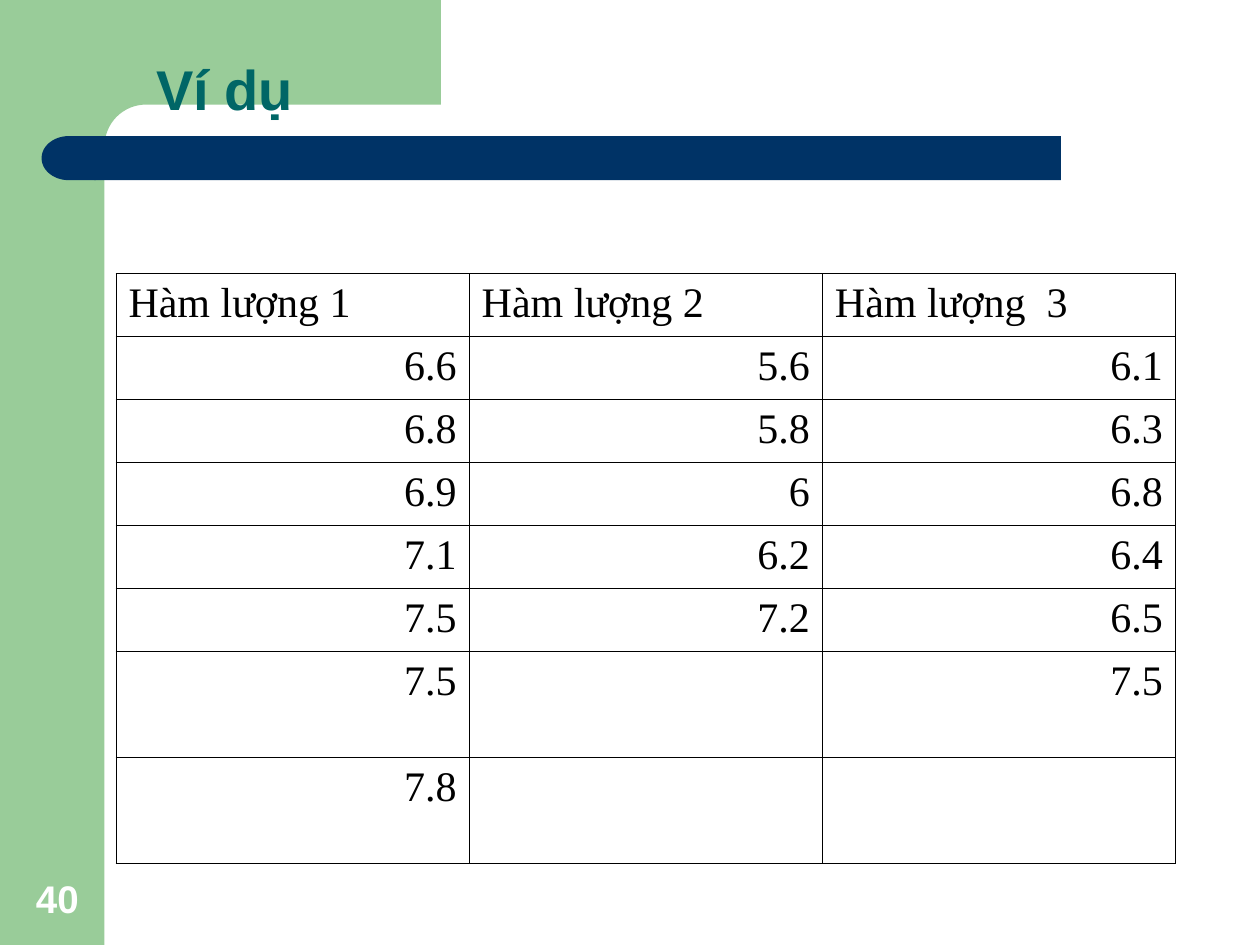
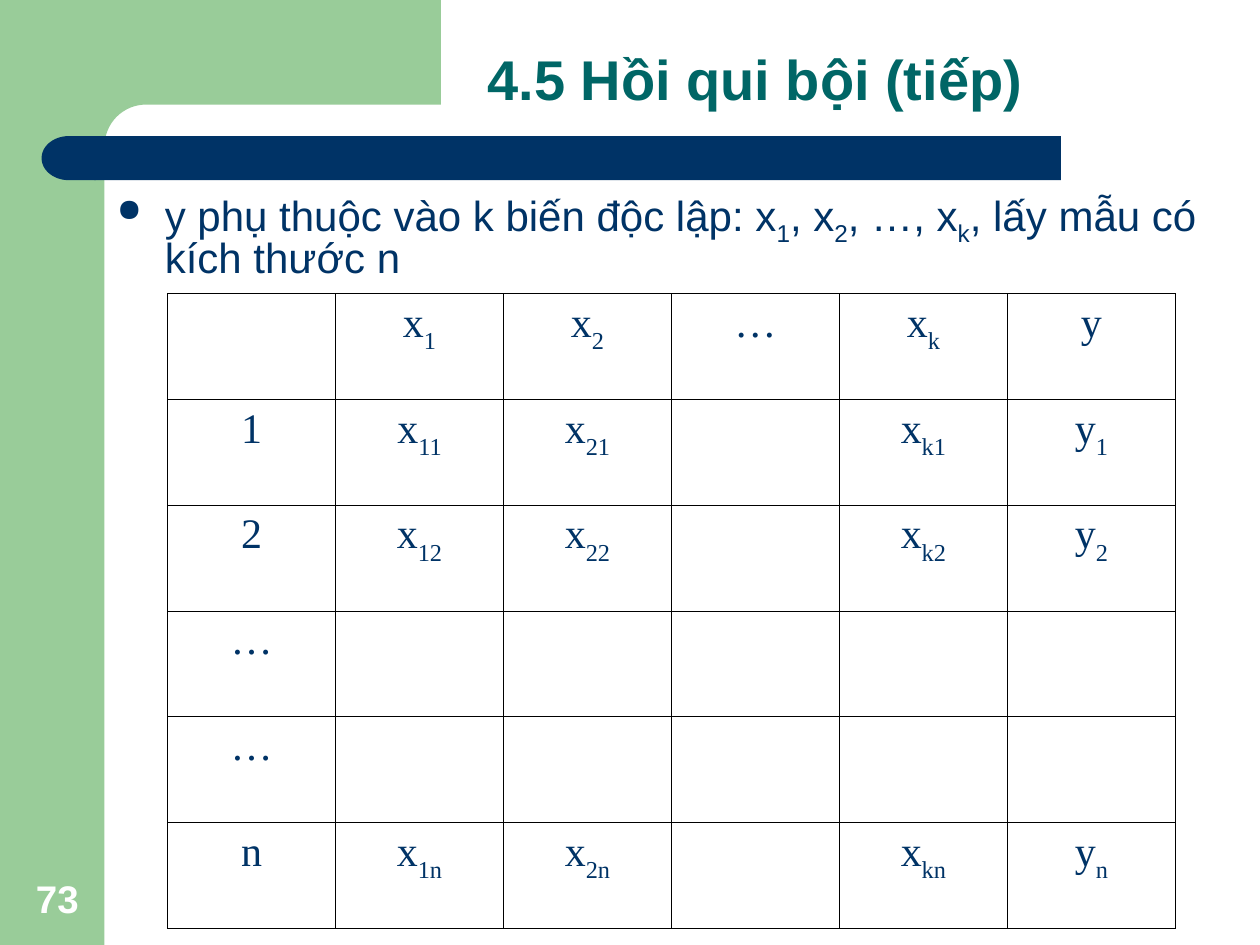
import math
from dataclasses import dataclass, field

from lxml import etree
from pptx import Presentation
from pptx.dml.color import RGBColor
from pptx.enum.shapes import MSO_SHAPE
from pptx.enum.text import MSO_ANCHOR, PP_ALIGN
from pptx.oxml.ns import qn
from pptx.util import Inches, Pt

RECTANGLE, DELAY = MSO_SHAPE.RECTANGLE, MSO_SHAPE.FLOWCHART_DELAY
TOP, BOTTOM = MSO_ANCHOR.TOP, MSO_ANCHOR.BOTTOM
LEFT, CENTER, RIGHT = PP_ALIGN.LEFT, PP_ALIGN.CENTER, PP_ALIGN.RIGHT


@dataclass(frozen=True)
class Theme:
    green: str = "99CC99"
    navy: str = "003366"
    teal: str = "006666"
    white: str = "FFFFFF"
    black: str = "000000"
    border: Pt = Pt(0.45)
    title: dict = field(default_factory=lambda: dict(name="Arial", size=Pt(32), bold=True))
    number: dict = field(default_factory=lambda: dict(name="Arial", size=Pt(22), bold=True))
    body: dict = field(default_factory=lambda: dict(name="Arial", size=Pt(24)))
    cell: dict = field(default_factory=lambda: dict(name="Times New Roman", size=Pt(24)))


THEME = Theme()

CONTENTS = [
    ["Hàm lượng 1", "Hàm lượng 2", "Hàm lượng  3"],
    ["6.6", "5.6", "6.1"],
    ["6.8", "5.8", "6.3"],
    ["6.9", "6", "6.8"],
    ["7.1", "6.2", "6.4"],
    ["7.5", "7.2", "6.5"],
    ["7.5", "", "7.5"],
    ["7.8", "", ""],
]


def sample_row(index):
    return [index, f"x|1{index}|", f"x|2{index}|", "", f"x|k{index}|", f"y|{index}|"]


SAMPLE = [
    ["", "x|1|", "x|2|", "…", "x|k|", "y"],
    sample_row("1"),
    sample_row("2"),
    ["…"] + [""] * 5,
    ["…"] + [""] * 5,
    sample_row("n"),
]


def apply(target, values):
    for name, value in values.items():
        setattr(target, name, value)


def inches(*lengths):
    return [Inches(length) for length in lengths]


def write(paragraph, text, style, color, drop=-30):
    """Add text as runs; parts between bars become subscripts lowered by drop percent."""
    for position, part in enumerate(text.split("|")):
        if not part:
            continue
        run = paragraph.add_run()
        run.text = part
        apply(run.font, style)
        run.font.color.rgb = RGBColor.from_string(color)
        if position % 2:
            run._r.get_or_add_rPr().set("baseline", str(drop * 1000))


def paint(shape, color):
    shape.shadow.inherit = False
    shape.fill.solid()
    shape.fill.fore_color.rgb = RGBColor.from_string(color)
    shape.line.fill.background()


def add_block(slide, kind, box, color):
    block = slide.shapes.add_shape(kind, *inches(*box))
    paint(block, color)
    return block


def add_corner(slide):
    """Green block at the top whose lower edge rounds into the side band."""
    radius, side, edge, steps = 0.33, 0.83, 0.83, 16
    angles = [math.pi / 2 * step / steps for step in range(steps + 1)]
    arc = [(side + radius * (1 - math.sin(angle)), edge + radius * (1 - math.cos(angle)))
           for angle in angles]
    outline = [(3.5, edge), *arc, (side, 1.28), (0.5, 1.28), (0.5, 0)]
    builder = slide.shapes.build_freeform(*inches(3.5, 0))
    builder.add_line_segments([inches(*point) for point in outline], close=True)
    paint(builder.convert_to_shape(), THEME.green)


def add_text(slide, box, text, style, color, frame=None, layout=None, drop=-30):
    text_frame = slide.shapes.add_textbox(*inches(*box)).text_frame
    apply(text_frame, dict(word_wrap=True) | (frame or {}))
    paragraph = text_frame.paragraphs[0]
    apply(paragraph, layout or {})
    write(paragraph, text, style, color, drop)
    return paragraph


def add_bullet(paragraph, color):
    properties = paragraph._p.get_or_add_pPr()
    properties.set("marL", str(Inches(0.38)))
    properties.set("indent", str(Inches(-0.38)))
    bullet_color = etree.SubElement(properties, qn("a:buClr"))
    etree.SubElement(bullet_color, qn("a:srgbClr"), val=color)
    etree.SubElement(properties, qn("a:buSzPct"), val="75000")
    etree.SubElement(properties, qn("a:buChar"), char="●")


def add_borders(cell):
    properties = cell._tc.get_or_add_tcPr()
    for side in ("lnL", "lnR", "lnT", "lnB"):
        line = etree.SubElement(properties, qn(f"a:{side}"), w=str(THEME.border))
        fill = etree.SubElement(line, qn("a:solidFill"))
        etree.SubElement(fill, qn("a:srgbClr"), val=THEME.black)


def add_grid(slide, corner, width, heights, rows, color, head_align, body_align):
    columns = len(rows[0])
    frame = slide.shapes.add_table(len(rows), columns, *inches(*corner, width, sum(heights)))
    table = frame.table
    apply(table, dict(first_row=False, horz_banding=False))
    for column in table.columns:
        column.width = Inches(width / columns)
    for r, (height, values) in enumerate(zip(heights, rows)):
        table.rows[r].height = Inches(height)
        for c, value in enumerate(values):
            cell = table.cell(r, c)
            add_borders(cell)
            cell.fill.background()
            paragraph = cell.text_frame.paragraphs[0]
            paragraph.alignment = body_align if r else head_align
            write(paragraph, value, THEME.cell, color)


def add_slide(deck, number, title, title_box, title_align):
    """Blank slide with the shared bands, page number and title."""
    slide = deck.slides.add_slide(deck.slide_layouts[6])
    add_block(slide, RECTANGLE, (0, 0, 0.83, 7.5), THEME.green)
    add_corner(slide)
    add_block(slide, RECTANGLE, (0.75, 1.08, 7.67, 0.35), THEME.navy)
    add_block(slide, DELAY, (0.33, 1.08, 0.43, 0.35), THEME.navy).rotation = 180
    add_text(slide, (0, 6.83, 0.91, 0.53), number, THEME.number, THEME.white,
             dict(vertical_anchor=BOTTOM), dict(alignment=CENTER))
    add_text(slide, title_box, title, THEME.title, THEME.teal,
             dict(vertical_anchor=BOTTOM), dict(alignment=title_align, line_spacing=0.9))
    return slide


def build_example(deck):
    slide = add_slide(deck, "40", "Ví dụ", (1.14, 0.22, 8.63, 0.8), LEFT)
    add_grid(slide, (0.92, 2.17), 8.41, [0.5] * 6 + [0.84] * 2, CONTENTS,
             THEME.black, LEFT, RIGHT)


def build_regression(deck):
    slide = add_slide(deck, "73", "4.5 Hồi qui bội (tiếp)", (2.22, 0.14, 7.55, 0.8), CENTER)
    statement = add_text(
        slide, (0.83, 1.42, 9.17, 0.83),
        "y phụ thuộc vào k biến độc lập: x|1|, x|2|, …, x|k|, lấy mẫu có kích thước n",
        THEME.body, THEME.navy, dict(vertical_anchor=TOP, margin_top=Inches(0.13)),
        dict(line_spacing=0.8), drop=-25)
    add_bullet(statement, THEME.navy)
    add_grid(slide, (1.33, 2.33), 8, [0.84] * 6, SAMPLE, THEME.navy, CENTER, CENTER)


def main():
    deck = Presentation()
    apply(deck, dict(slide_width=Inches(10), slide_height=Inches(7.5)))
    build_example(deck)
    build_regression(deck)
    deck.save("out.pptx")


if __name__ == "__main__":
    main()
